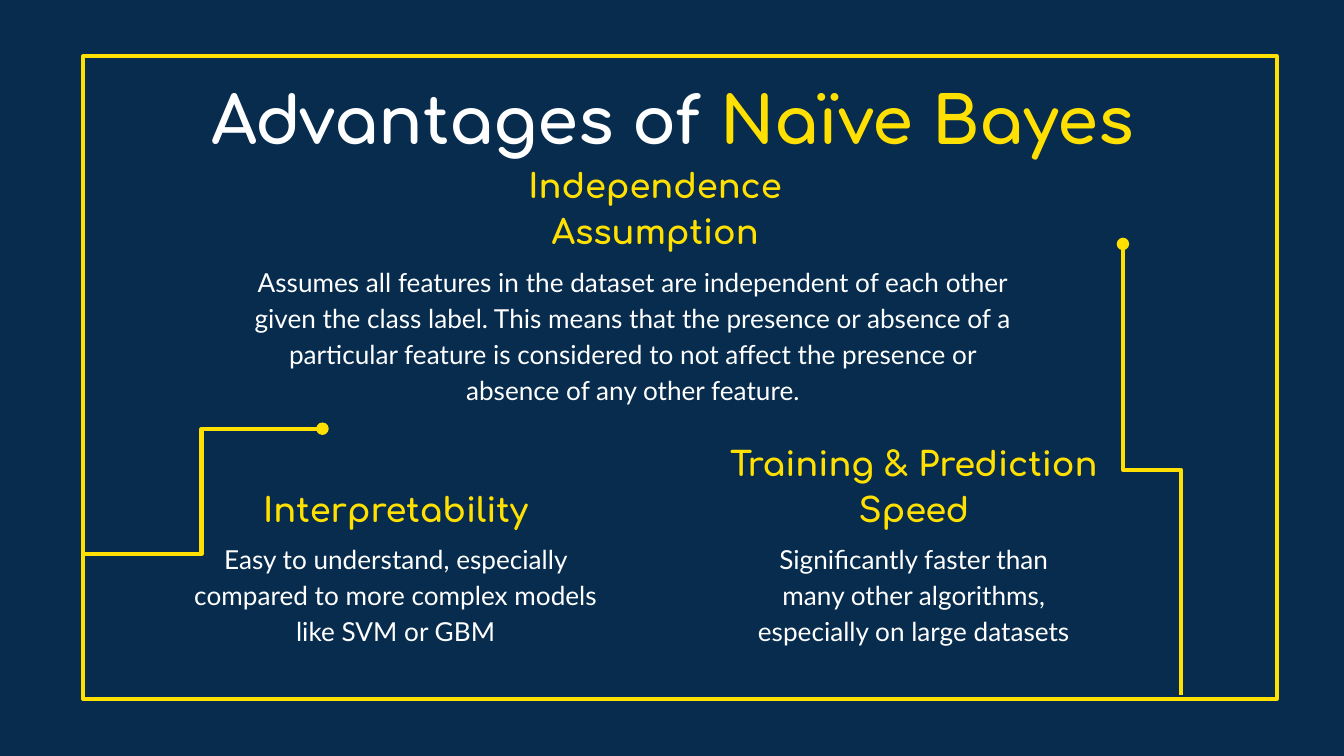
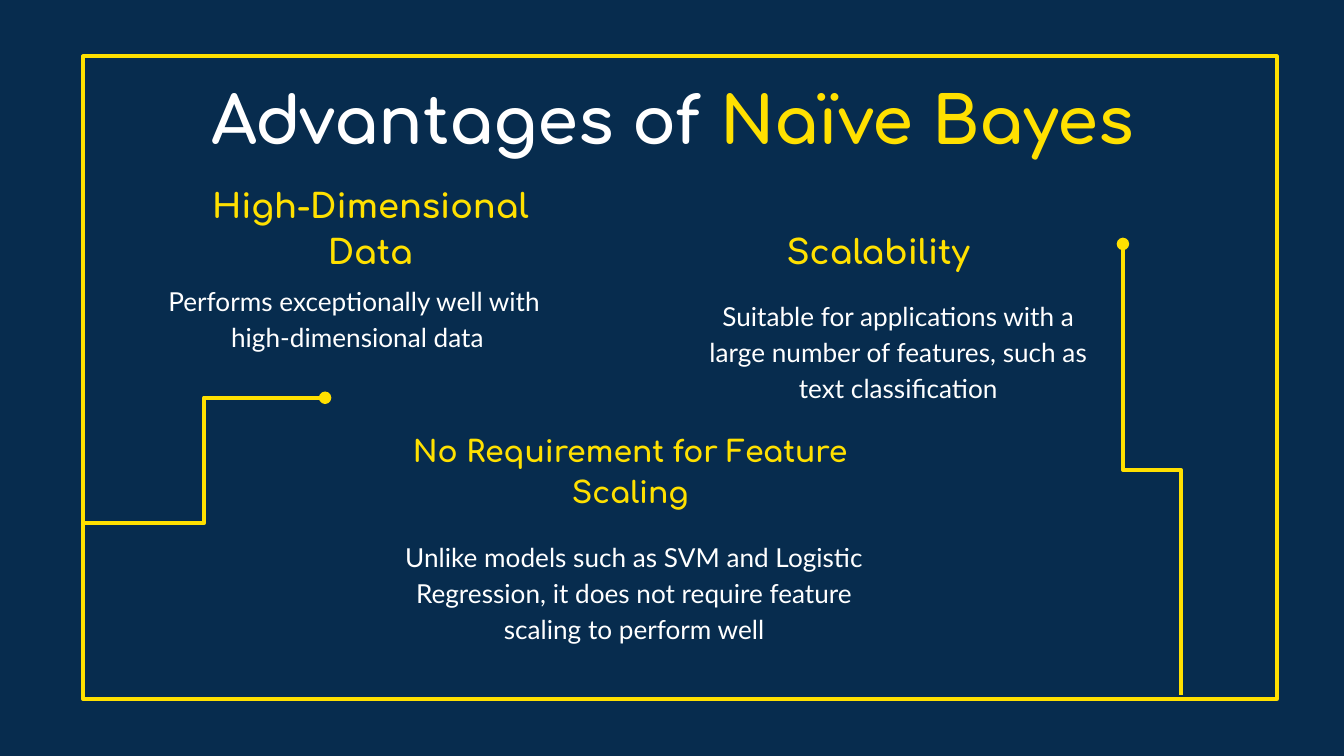
"""Build two slides on the advantages of Naïve Bayes."""
from dataclasses import dataclass

from lxml.etree import SubElement
from pptx import Presentation
from pptx.dml.color import RGBColor
from pptx.enum.shapes import MSO_CONNECTOR, MSO_SHAPE
from pptx.enum.text import MSO_ANCHOR, PP_ALIGN
from pptx.oxml import parse_xml
from pptx.oxml.ns import qn
from pptx.util import Pt


@dataclass(frozen=True)
class Theme:
    navy: RGBColor = RGBColor.from_string("072C4E")
    yellow: RGBColor = RGBColor.from_string("FFE000")
    white: RGBColor = RGBColor.from_string("FFFFFF")
    head_font: str = "Comfortaa"
    body_font: str = "Lato"
    title_size: float = 35
    head_size: float = 18
    small_head_size: float = 16
    body_size: float = 14
    line: float = 2.25


T = Theme()
HEAD_H, BODY_H = 39.6, 52.6
TEXT_SHADOW = (
    '<a:effectLst xmlns:a="http://schemas.openxmlformats.org/drawingml/2006/main">'
    '<a:outerShdw blurRad="38100" dist="38100" dir="2700000" algn="tl">'
    '<a:srgbClr val="000000"><a:alpha val="43000"/></a:srgbClr>'
    '</a:outerShdw></a:effectLst>'
)


def add_text(s, box, paras, font, size, bold=False, anchor=MSO_ANCHOR.TOP, spacing=1.15):
    tf = s.shapes.add_textbox(*map(Pt, box)).text_frame
    tf.word_wrap = True
    tf.vertical_anchor = anchor
    tf.margin_left = tf.margin_right = tf.margin_top = tf.margin_bottom = Pt(7.2)
    for i, runs in enumerate(paras):
        p = tf.add_paragraph() if i else tf.paragraphs[0]
        p.alignment = PP_ALIGN.CENTER
        p.line_spacing = spacing
        for text, color in runs:
            r = p.add_run()
            r.text = text
            r.font.name = font
            r.font.size = Pt(size)
            r.font.bold = bold
            r.font.color.rgb = color
    return tf


def add_elbow(s, x1, y1, x2, y2, rot=0):
    c = s.shapes.add_connector(MSO_CONNECTOR.ELBOW, Pt(x1), Pt(y1), Pt(x2), Pt(y2))
    c.line.color.rgb = T.yellow
    c.line.width = Pt(T.line)
    spPr = c._element.spPr
    spPr.find(qn("a:xfrm")).set("rot", str(rot * 60000))
    ln = spPr.find(qn("a:ln"))
    SubElement(ln, qn("a:round"))
    SubElement(ln, qn("a:headEnd")).set("type", "oval")
    SubElement(spPr, qn("a:effectLst"))


slides = [
    ((43.2, 229.7), [
        ("Independence Assumption", T.head_size, (241.9, 102.2, 218.2), (128.9, 133.2, 420.5),
         ["Assumes all features in the dataset are independent of each other given the "
          "class label. This means that the presence or absence of a particular feature is "
          "considered to not affect the presence or absence of any other feature."]),
        ("Training & Prediction Speed", T.head_size, (367.9, 251.3, 243.4), (392.4, 281.5, 194.4),
         ["Significantly faster than many other algorithms, especially on large datasets"]),
        ("Interpretability", T.head_size, (119.5, 251.3, 185), (87.8, 281.5, 248.4),
         ["Easy to understand, especially compared to more complex models like SVM or GBM"]),
    ]),
    ((44.6, 213.1), [
        ("Scalability", T.head_size, (361.4, 113, 218.2), (368.6, 151.2, 225.4),
         ["Suitable for applications with a large number of features, such as "
          "text classification"]),
        ("High-Dimensional Data", T.head_size, (92.2, 113, 212.4), (63.4, 143.3, 256.3),
         ["Performs exceptionally well with ", "high-dimensional data"]),
        ("No Requirement for Feature Scaling", T.small_head_size,
         (209.5, 240.5, 256.3), (203, 280.1, 273.6),
         ["Unlike models such as SVM and Logistic Regression, it does not require feature "
          "scaling to perform well"]),
    ]),
]

prs = Presentation()
prs.slide_width, prs.slide_height = Pt(720), Pt(405)

for (left, top), topics in slides:
    s = prs.slides.add_slide(prs.slide_layouts[6])
    s.background.fill.solid()
    s.background.fill.fore_color.rgb = T.navy

    frame = s.shapes.add_shape(MSO_SHAPE.RECTANGLE, Pt(44.6), Pt(30.2), Pt(639.4), Pt(344.2))
    frame.shadow.inherit = False
    frame.fill.solid()
    frame.fill.fore_color.rgb = T.navy
    frame.line.color.rgb = T.yellow
    frame.line.width = Pt(T.line)

    title = [("Advantages of ", T.white), ("Naïve Bayes", T.yellow)]
    tf = add_text(s, (56.9, 35.3, 607, 45.4), [title], T.head_font, T.title_size,
                  bold=True, spacing=1.0)
    for r in tf.paragraphs[0].runs:
        rPr = r.font._element
        rPr.find(qn("a:solidFill")).addnext(parse_xml(TEXT_SHADOW))

    add_elbow(s, left + 129.6, top, left, top + 67)
    add_elbow(s, 738, 236.2, 496.1, 267.1, rot=270)

    for head, size, head_box, body_box, body in topics:
        add_text(s, (*body_box, BODY_H), [[(text, T.white)] for text in body],
                 T.body_font, T.body_size)
        add_text(s, (*head_box, HEAD_H), [[(head, T.yellow)]], T.head_font, size,
                 bold=True, anchor=MSO_ANCHOR.BOTTOM)

prs.save("out.pptx")
